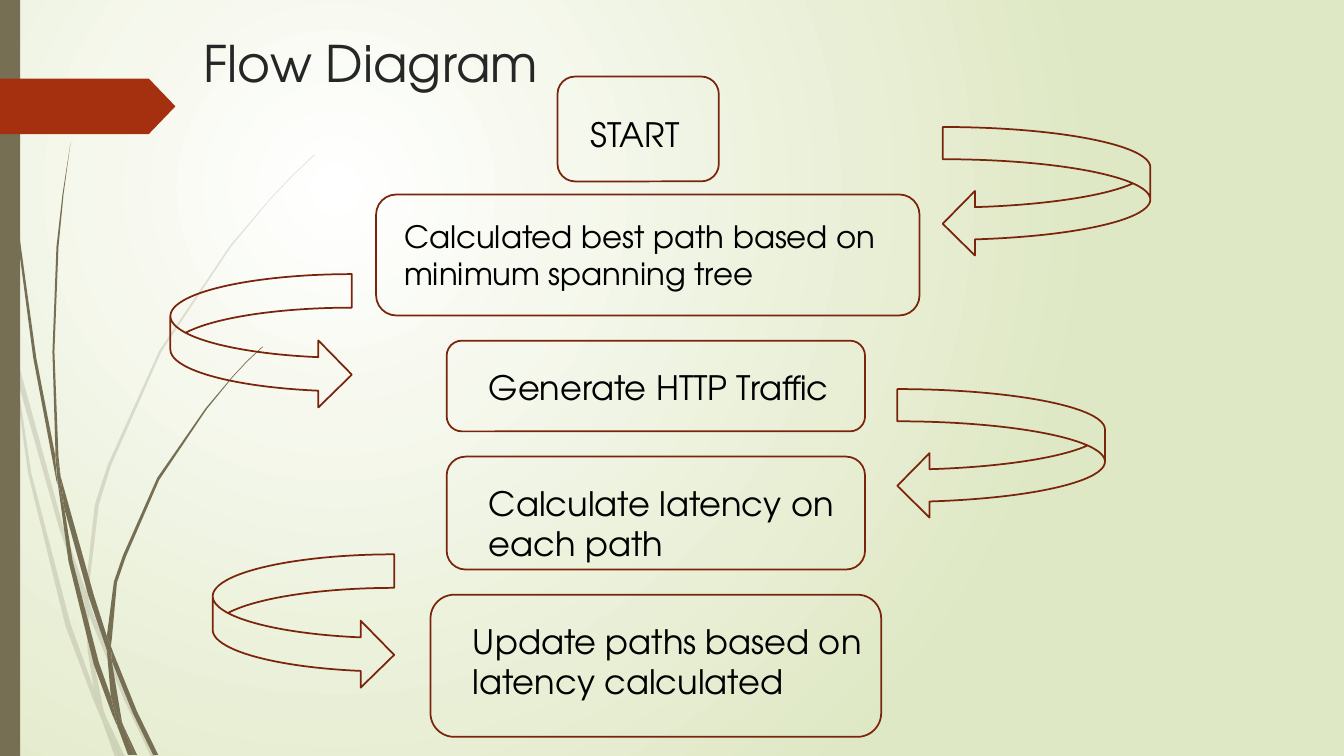
"""Build the flow diagram slide."""
import lxml.etree
import pptx
import pptx.dml.color
import pptx.enum.shapes
import pptx.oxml.ns
import pptx.util

Inches = pptx.util.Inches
RGBColor = pptx.dml.color.RGBColor
KIND = pptx.enum.shapes.MSO_SHAPE
qn = pptx.oxml.ns.qn

FONT = "TeX Gyre Adventor"
WHITE = RGBColor(0xFF, 0xFF, 0xFF)
LIME = RGBColor(0xDF, 0xE8, 0xC4)
OLIVE = RGBColor(0x76, 0x6F, 0x54)
RED = RGBColor(0xA5, 0x30, 0x10)
RUST = RGBColor(0x7A, 0x24, 0x0C)
GREY = RGBColor(0x26, 0x26, 0x26)
BLACK = RGBColor(0, 0, 0)

PALE = [
    [(0.11, 3.5), (0.09, 3.22), (0, 2.82), (0, 2.99), (0.1, 3.44)],
    [(0.58, 5.22), (0.84, 5.99), (0.85, 5.86), (0.62, 5.2), (0.14, 3.45),
     (0.17, 3.76)],
    [(0.92, 6.07), (0.88, 5.96), (0.88, 6.1), (1.23, 6.94), (1.5, 7.51),
     (1.55, 7.51), (1.27, 6.92)],
    [(1.19, 7.51), (1.24, 7.51), (1.05, 7.11)],
    [(0.93, 6.83), (0.7, 6.19), (0.31, 4.69), (0.17, 3.76), (0.11, 3.5),
     (0.28, 4.7), (0.65, 6.21), (0.92, 6.93), (1.01, 7.14), (0.99, 7.07)],
    [(0.84, 5.99), (0.87, 6.46), (0.93, 6.83), (0.96, 6.92), (1.05, 7.11),
     (1.03, 7.06), (0.91, 6.46), (0.88, 6.1), (0.88, 6.08)],
    [(0.88, 5.84), (0.98, 5.01), (1.1, 4.62), (1.6, 3.49), (2.29, 2.45),
     (2.68, 1.98), (2.9, 1.75), (3.12, 1.54), (3.12, 1.53), (2.89, 1.75),
     (2.68, 1.97), (2.28, 2.44), (1.58, 3.48), (1.07, 4.61), (0.94, 5.01),
     (0.85, 5.84), (0.85, 5.86), (0.88, 5.96)],
    [(1.01, 7.14), (1.14, 7.51), (1.19, 7.51)],
    [(0.88, 6.08), (0.88, 6.1), (0.88, 5.96), (0.85, 5.86), (0.84, 5.99)],
    [(0.96, 6.92), (0.93, 6.83), (0.99, 7.07), (1.01, 7.14), (1.19, 7.51),
     (1.05, 7.11)],
]
DARK = [
    [(0.07, 1.1), (0.17, 2.33), (0.33, 3.55), (0.56, 4.77), (0.57, 4.81),
     (0.55, 4.57), (0.55, 4.53), (0.36, 3.55), (0.19, 2.32), (0.08, 1.09),
     (0.05, 0.48), (0.04, 0), (0.03, 0), (0.04, 0.48)],
    [(0.88, 5.92), (1.06, 6.45), (1.06, 6.33), (1.06, 6.31), (0.93, 5.9),
     (0.6, 4.72), (0.64, 5.05)],
    [(1.13, 6.49), (1.1, 6.41), (1.11, 6.56), (1.32, 7.08), (1.52, 7.49),
     (1.57, 7.49), (1.36, 7.06)],
    [(1.1, 6.91), (0.98, 6.57), (0.72, 5.56), (0.64, 5.05), (0.57, 4.77),
     (0.68, 5.57), (0.93, 6.59), (1.11, 7.08), (1.17, 7.22), (1.16, 7.17)],
    [(0.6, 4.72), (0.58, 4.53), (0.54, 3.49), (0.58, 2.45), (0.63, 1.93),
     (0.7, 1.41), (0.62, 1.93), (0.56, 2.45), (0.52, 3.49), (0.55, 4.49)],
    [(1.33, 7.49), (1.36, 7.49), (1.22, 7.19)],
    [(0.57, 4.77), (0.64, 5.05), (0.6, 4.72), (0.55, 4.49), (0.55, 4.53)],
    [(1.11, 6.33), (1.16, 5.78), (1.25, 5.52), (1.58, 4.76), (2.05, 4.06),
     (2.31, 3.74), (2.45, 3.59), (2.61, 3.44), (2.6, 3.44), (2.45, 3.58),
     (2.31, 3.73), (2.04, 4.05), (1.56, 4.74), (1.22, 5.51), (1.13, 5.77),
     (1.06, 6.31), (1.1, 6.41)],
    [(1.17, 7.22), (1.27, 7.49), (1.31, 7.49)],
    [(1.06, 6.45), (1.1, 6.91), (1.16, 7.06), (1.22, 7.19), (1.21, 7.16),
     (1.11, 6.56), (1.09, 6.51)],
    [(1.06, 6.45), (1.09, 6.51), (1.11, 6.56), (1.1, 6.41), (1.06, 6.31)],
    [(1.16, 7.06), (1.1, 6.91), (1.16, 7.17), (1.17, 7.22), (1.3, 7.49),
     (1.33, 7.49), (1.22, 7.19)],
]
CARDS = [
    ((5.53, 0.76, 1.6, 1.04), (5.76, 1.08, 1.14, 0.5), "START", 24),
    ((3.73, 1.93, 5.39, 1.2), (3.91, 2.11, 4.98, 0.79),
     "Calculated best path based on minimum spanning tree", 22),
    ((4.43, 3.38, 4.15, 0.9), (4.75, 3.59, 3.83, 0.27),
     "Generate HTTP Traffic", 24),
    ((4.43, 4.53, 4.15, 1.12), (4.75, 4.74, 3.83, 0.91),
     "Calculate latency on each path", 24),
    ((4.27, 5.9, 4.47, 1.41), (4.59, 6.11, 4.15, 0.91),
     "Update paths based on latency calculated", 24),
]
ARROWS = [
    (KIND.CURVED_LEFT_ARROW, (9.35, 1.26, 2.06, 1.28)),
    (KIND.CURVED_RIGHT_ARROW, (1.69, 2.72, 1.8, 1.33)),
    (KIND.CURVED_LEFT_ARROW, (8.9, 3.86, 2.06, 1.28)),
    (KIND.CURVED_RIGHT_ARROW, (2.11, 5.5, 1.8, 1.33)),
]


def paint(slide):
    """Give the slide a round glow as its background."""
    fill = slide.background.fill
    fill.gradient()
    for stop, place, tint in zip(fill.gradient_stops, (0, 1), (WHITE, LIME)):
        stop.position = place
        stop.color.rgb = tint
    grad = slide.element.find(".//" + qn("a:gradFill"))
    grad.remove(grad.find(qn("a:lin")))
    glow = lxml.etree.SubElement(grad, qn("a:path"), path="circle")
    lxml.etree.SubElement(glow, qn("a:fillToRect"),
                          l="50000", t="50000", r="100000", b="100000")


def solid(shape, tint, alpha=100):
    """Fill a shape with one colour and no outline."""
    shape.shadow.inherit = False
    shape.line.fill.background()
    shape.fill.solid()
    shape.fill.fore_color.rgb = tint
    if alpha < 100:
        node = shape.element.spPr.find(".//" + qn("a:srgbClr"))
        lxml.etree.SubElement(node, qn("a:alpha"), val=str(alpha * 1000))


def block(slide, kind, box):
    """Add a preset shape."""
    return slide.shapes.add_shape(kind, *map(Inches, box))


def outline(slide, kind, box):
    """Add a preset shape with only a rust outline."""
    shape = block(slide, kind, box)
    shape.shadow.inherit = False
    shape.fill.background()
    shape.line.color.rgb = RUST
    shape.line.width = pptx.util.Pt(1.25)


def blade(slide, knots, alpha=100):
    """Draw one piece of the grass."""
    edge = [(Inches(x), Inches(y)) for x, y in knots]
    form = slide.shapes.build_freeform(*edge[0])
    form.add_line_segments(edge[1:])
    solid(form.convert_to_shape(), OLIVE, alpha)


def write(slide, text, box, size=24, tint=BLACK):
    """Add a text box."""
    frame = slide.shapes.add_textbox(*map(Inches, box)).text_frame
    frame.word_wrap = True
    run = frame.paragraphs[0].add_run()
    run.text = text
    run.font.name = FONT
    run.font.size = pptx.util.Pt(size)
    run.font.color.rgb = tint


def main():
    """Build and save the slide."""
    deck = pptx.Presentation()
    deck.slide_width, deck.slide_height = Inches(13.33), Inches(7.5)
    slide = deck.slides.add_slide(deck.slide_layouts[6])
    paint(slide)
    for knots in PALE:
        blade(slide, knots, alpha=20)
    for knots in DARK:
        blade(slide, knots)
    solid(block(slide, KIND.RECTANGLE, (0, 0, 0.2, 7.5)), OLIVE)
    flag = block(slide, KIND.PENTAGON, (0, 0.78, 1.74, 0.55))
    flag.adjustments[0] = 0.48
    solid(flag, RED)
    write(slide, "Flow Diagram", (1.92, 0.27, 3.61, 0.99), size=36, tint=GREY)
    for card, box, text, size in CARDS:
        outline(slide, KIND.ROUNDED_RECTANGLE, card)
        write(slide, text, box, size=size)
    for kind, box in ARROWS:
        outline(slide, kind, box)
    deck.save("out.pptx")


if __name__ == "__main__":
    main()
